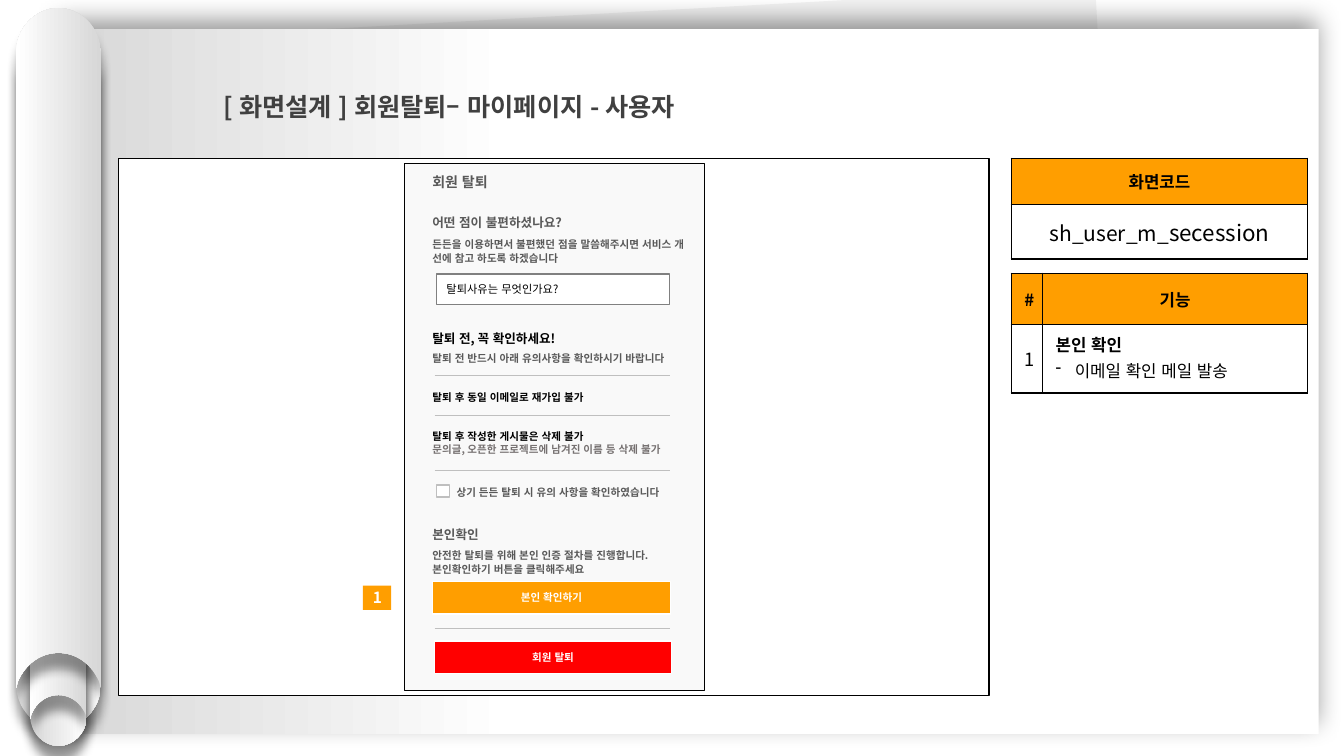
from dataclasses import dataclass

from lxml import etree
from pptx import Presentation
from pptx.dml.color import RGBColor
from pptx.enum.lang import MSO_LANGUAGE_ID
from pptx.enum.shapes import MSO_CONNECTOR, MSO_SHAPE
from pptx.enum.text import MSO_ANCHOR, PP_ALIGN
from pptx.oxml.ns import qn
from pptx.util import Inches, Pt

FONT = "Noto Sans CJK KR"
ORANGE, BLACK, WHITE, DARK, SILVER = "FF9E00", "000000", "FFFFFF", "595959", "BFBFBF"
LEFT, CENTER = PP_ALIGN.LEFT, PP_ALIGN.CENTER
TOP, MIDDLE = MSO_ANCHOR.TOP, MSO_ANCHOR.MIDDLE
RECTANGLE, STRAIGHT = MSO_SHAPE.RECTANGLE, MSO_CONNECTOR.STRAIGHT
KOREAN = MSO_LANGUAGE_ID.KOREAN


@dataclass
class Para:
    text: str
    size: float = 7.5
    color: str = DARK
    bold: bool = True
    align: int = LEFT
    spacing: object = None
    dash: bool = False


@dataclass
class Note:
    left: float
    top: float
    width: float
    height: float
    paras: list


@dataclass
class Panel:
    left: float
    top: float
    width: float
    height: float
    fill: str
    line: str | None = None
    weight: float = 1
    label: Para | None = None


@dataclass
class Roll:
    left: float
    top: float
    width: float
    height: float
    rotation: int


def rgb(color: str) -> RGBColor:
    return RGBColor.from_string(color)


def write(frame, paras: list) -> None:
    for index, para in enumerate(paras):
        paragraph = frame.paragraphs[0] if index == 0 else frame.add_paragraph()
        paragraph.text = para.text
        paragraph.alignment = para.align
        if para.spacing:
            paragraph.line_spacing = para.spacing
        properties = paragraph._p.get_or_add_pPr()
        if para.dash:
            properties.set("marL", str(Inches(0.19)))
            properties.set("indent", str(-Inches(0.19)))
            etree.SubElement(properties, qn("a:buChar"), char="-")
        font = paragraph.font
        font.size, font.bold, font.name, font.language_id = Pt(para.size), para.bold, FONT, KOREAN
        font.color.rgb = rgb(para.color)
        etree.SubElement(properties.find(qn("a:defRPr")), qn("a:ea"), typeface=FONT)


def add_panel(shapes, panel: Panel):
    shape = shapes.add_shape(RECTANGLE, Inches(panel.left), Inches(panel.top),
                             Inches(panel.width), Inches(panel.height))
    shape.shadow.inherit = False
    shape.fill.solid()
    shape.fill.fore_color.rgb = rgb(panel.fill)
    if panel.line:
        shape.line.color.rgb = rgb(panel.line)
        shape.line.width = Pt(panel.weight)
    else:
        shape.line.fill.background()
    if panel.label:
        shape.text_frame.vertical_anchor = MIDDLE
        write(shape.text_frame, [panel.label])
    return shape


def add_note(shapes, note: Note):
    box = shapes.add_textbox(Inches(note.left), Inches(note.top),
                             Inches(note.width), Inches(note.height))
    box.text_frame.word_wrap = True
    box.text_frame.vertical_anchor = MIDDLE
    write(box.text_frame, note.paras)
    return box


def shade(shape, stops: list, blur: float, distance: float, direction: int) -> None:
    """Give a paper shape its horizontal gradient and soft shadow."""
    shape.fill.gradient()
    shape.fill.gradient_angle = 180
    for stop, (position, color) in zip(shape.fill.gradient_stops, stops):
        stop.position = position
        stop.color.rgb = rgb(color)
    shape.line.fill.background()
    shape.shadow.inherit = False
    effects = shape._element.spPr.find(qn("a:effectLst"))
    shadow = etree.SubElement(effects, qn("a:outerShdw"), blurRad=str(Pt(blur)), dist=str(Pt(distance)),
                              dir=str(direction * 60000), rotWithShape="0")
    tint = etree.SubElement(shadow, qn("a:srgbClr"), val=BLACK)
    etree.SubElement(tint, qn("a:alpha"), val="40000")


def add_roll(shapes, roll: Roll) -> None:
    """Draw a paper tube with a domed top and a hollowed bottom."""
    base = roll.height / roll.width
    outline = [(0.5, 0), (0.77, 0), (1, 0.24), (1, 0.52), (1, base), (0.98, base - 0.08),
               (0.89, base - 0.29), (0.71, base - 0.42), (0.5, base - 0.42),
               (0.29, base - 0.42), (0.11, base - 0.29), (0.02, base - 0.08),
               (0, base), (0, 0.52), (0, 0.24), (0.23, 0), (0.5, 0)]
    points = [(Inches(roll.left + x * roll.width), Inches(roll.top + y * roll.width)) for x, y in outline]
    builder = shapes.build_freeform(*points[0])
    builder.add_line_segments(points[1:], close=True)
    tube = builder.convert_to_shape()
    segments = list(tube._element.iter(qn("a:lnTo")))
    for first in (0, 5, 8, 13):
        curve, *rest = segments[first:first + 3]
        curve.tag = qn("a:cubicBezTo")
        for segment in rest:
            curve.append(segment[0])
            segment.getparent().remove(segment)
    tube.rotation = roll.rotation
    shade(tube, [(0, "D7D7D7"), (1, WHITE)], 7, 11, 90)


def add_separator(shapes, y: float) -> None:
    line = shapes.add_connector(STRAIGHT, Inches(4.31), Inches(y), Inches(6.65), Inches(y))
    line.line.color.rgb = rgb(SILVER)
    line.line.width = Pt(0.5)
    etree.SubElement(line._element.spPr, qn("a:effectLst"))


def add_grid(shapes, top: float, columns: list, rows: list, contents: list):
    """Add a bordered table whose first row is the orange header."""
    table = shapes.add_table(len(rows), len(columns), Inches(10.03), Inches(top),
                             Inches(sum(columns)), Inches(sum(rows))).table
    table.first_row = table.horz_banding = False
    for column, width in zip(table.columns, columns):
        column.width = Inches(width)
    for row, height in zip(table.rows, rows):
        row.height = Inches(height)
    for r, line in enumerate(contents):
        for c, paras in enumerate(line):
            cell = table.cell(r, c)
            cell.margin_left = cell.margin_right = Inches(0.13)
            cell.margin_top = cell.margin_bottom = Inches(0.07)
            cell.vertical_anchor = TOP if len(paras) > 1 else MIDDLE
            for side in ("lnL", "lnR", "lnT", "lnB"):
                border = etree.SubElement(cell._tc.get_or_add_tcPr(), qn(f"a:{side}"), w=str(Pt(1)))
                etree.SubElement(etree.SubElement(border, qn("a:solidFill")), qn("a:srgbClr"), val=BLACK)
            if r == 0:
                cell.fill.solid()
                cell.fill.fore_color.rgb = rgb(ORANGE)
            else:
                cell.fill.background()
            write(cell.text_frame, paras)
    return table


def heading(top: float, text: str, size: float = 9, color: str = DARK, width: float = 2) -> Note:
    return Note(4.19, top, width, 0.15, [Para(text, size, color)])


ROLLS = [Roll(0.16, 0.48, 0.84, 6.75, 180), Roll(0.3, 2.88, 0.56, 4.52, 180),
         Roll(0.3, 2.61, 0.56, 4.52, 0), Roll(0.16, 0.08, 0.84, 6.75, 0)]
PANELS = [
    Panel(1.18, 1.57, 8.63, 5.33, WHITE, BLACK, 0.75),
    Panel(4.01, 1.62, 2.98, 5.23, "F9F9F9", BLACK, 0.75),
    Panel(4.33, 2.72, 2.31, 0.3, WHITE, "808080", 1, Para("탈퇴사유는 무엇인가요?", 8, BLACK, False)),
    Panel(4.33, 4.81, 0.13, 0.12, WHITE, SILVER),
    Panel(4.29, 5.77, 2.36, 0.32, ORANGE, WHITE, 1, Para("본인 확인하기", 7.5, WHITE, align=CENTER)),
    Panel(4.31, 6.36, 2.35, 0.32, "FF0000", WHITE, 1, Para("회원 탈퇴", 7.5, WHITE, align=CENTER)),
    Panel(3.6, 5.81, 0.28, 0.24, ORANGE, label=Para("1", 11, WHITE, align=CENTER)),
]
NOTES = [
    heading(1.73, "회원 탈퇴", 10, width=1.01),
    heading(2.13, "어떤 점이 불편하셨나요?"),
    Note(4.19, 2.36, 4.43, 0.26, [Para("든든을 이용하면서 불편했던 점을 말씀해주시면 서비스 개", spacing=Pt(10)),
                                  Para("선에 참고 하도록 하겠습니다", spacing=Pt(10))]),
    heading(3.28, "탈퇴 전, 꼭 확인하세요!", color=BLACK),
    Note(4.19, 3.43, 4.43, 0.26, [Para("탈퇴 전 반드시 아래 유의사항을 확인하시기 바랍니다")]),
    Note(4.19, 3.81, 4.43, 0.26, [Para("탈퇴 후 동일 이메일로 재가입 불가", color=BLACK)]),
    Note(4.19, 4.21, 4.43, 0.37, [Para("탈퇴 후 작성한 게시물은 삭제 불가", color=BLACK),
                                  Para("문의글, 오픈한 프로젝트에 남겨진 이름 등 삭제 불가", color="767171")]),
    Note(4.43, 4.75, 4.43, 0.26, [Para("상기 든든 탈퇴 시 유의 사항을 확인하였습니다")]),
    heading(5.23, "본인확인"),
    Note(4.19, 5.47, 4.09, 0.21, [Para("안전한 탈퇴를 위해 본인 인증 절차를 진행합니다.", spacing=Pt(10)),
                                  Para("본인확인하기 버튼을 클릭해주세요", spacing=Pt(10))]),
]


def main() -> None:
    deck = Presentation()
    deck.slide_width, deck.slide_height = Inches(13.33), Inches(7.5)
    shapes = deck.slides.add_slide(deck.slide_layouts[6]).shapes

    add_panel(shapes, Panel(0.91, 0.14, 10.15, 6.8, "F2F2F2")).rotation = 356.8
    sheet = add_panel(shapes, Panel(0.58, 0.29, 12.5, 6.99, WHITE))
    shade(sheet, [(0.64, WHITE), (1, "D7D7D7")], 18, 6, 270)
    for roll in ROLLS:
        add_roll(shapes, roll)

    code = add_grid(shapes, 1.57, [2.94], [0.46, 0.54], [
        [[Para("화면코드", 12, BLACK, align=CENTER)]],
        [[Para("sh_user_m_", 15, BLACK, False, CENTER)]]])
    suffix = code.cell(1, 0).text_frame.paragraphs[0].add_run()
    suffix.text = "secession"
    suffix.font.size = Pt(16)
    add_grid(shapes, 2.71, [0.31, 2.63], [0.51, 0.68], [
        [[Para(title, 12, BLACK, align=CENTER, spacing=Pt(18))] for title in ("#", "기능")],
        [[Para("1", 13, BLACK, False, CENTER, Pt(18))],
         [Para("본인 확인", 12, BLACK, spacing=Pt(18)),
          Para("이메일 확인 메일 발송", 12, BLACK, False, spacing=Pt(18), dash=True)]]])

    for panel in PANELS:
        add_panel(shapes, panel)
    for note in NOTES:
        add_note(shapes, note)
    for y in (3.72, 4.12, 4.67, 6.23):
        add_separator(shapes, y)

    title = add_note(shapes, Note(2.15, 0.72, 7.21, 0.53, [
        Para("[ 화면설계 ] 회원탈퇴– 마이페이지 - 사용자", 18, "404040", spacing=1.5)])).text_frame
    title.vertical_anchor = TOP
    title.margin_left = title.margin_right = Inches(0.07)
    title.margin_top = title.margin_bottom = Inches(0.04)
    deck.save("out.pptx")


if __name__ == "__main__":
    main()
